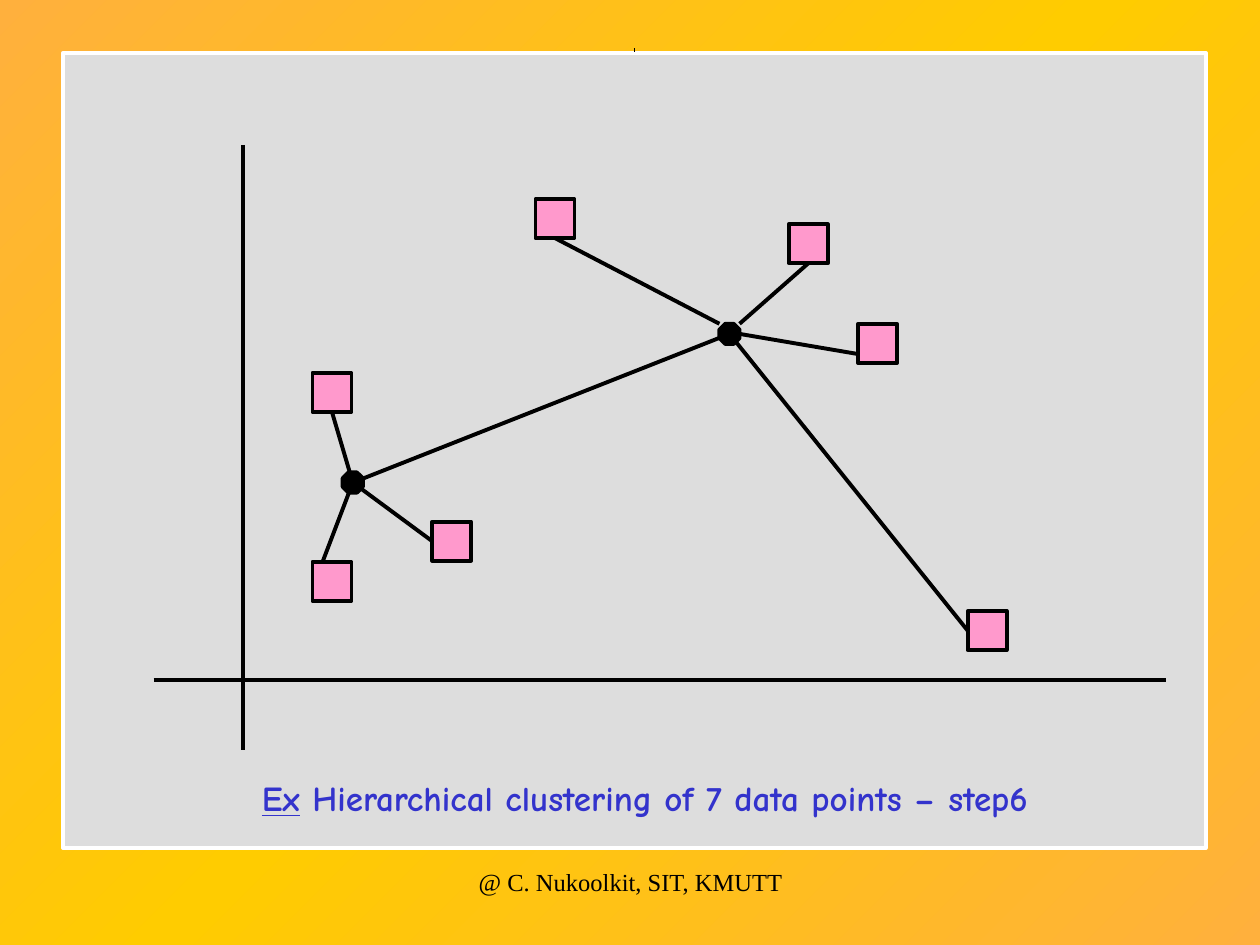
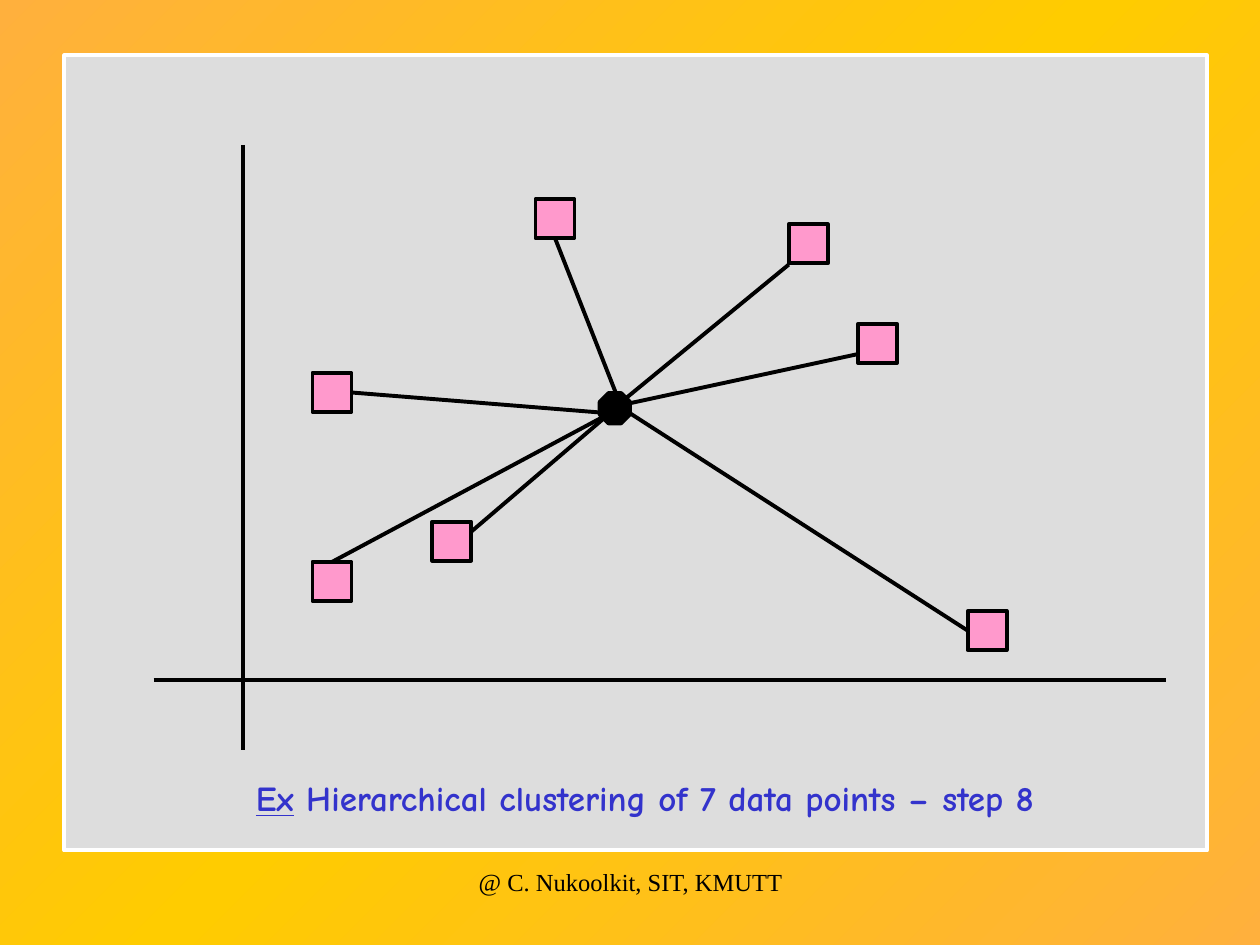
from copy import deepcopy

from lxml import etree
from pptx import Presentation
from pptx.dml.color import RGBColor
from pptx.enum.shapes import MSO_CONNECTOR, MSO_SHAPE
from pptx.enum.text import MSO_ANCHOR, MSO_AUTO_SIZE, PP_ALIGN
from pptx.oxml.ns import qn
from pptx.util import Inches, Pt

STRAIGHT = MSO_CONNECTOR.STRAIGHT
RECTANGLE = MSO_SHAPE.RECTANGLE
OCTAGON = MSO_SHAPE.OCTAGON
TOP_ANCHOR = MSO_ANCHOR.TOP
FIT_SHAPE = MSO_AUTO_SIZE.SHAPE_TO_FIT_TEXT
NO_FIT = MSO_AUTO_SIZE.NONE
CENTER = PP_ALIGN.CENTER

ORANGE = RGBColor(0xFF, 0xB0, 0x3D)
YELLOW = RGBColor(0xFF, 0xCC, 0x00)
GRAY = RGBColor(0xDD, 0xDD, 0xDD)
WHITE = RGBColor(0xFF, 0xFF, 0xFF)
BLACK = RGBColor(0x00, 0x00, 0x00)
PINK = RGBColor(0xFF, 0x99, 0xCC)
BLUE = RGBColor(0x33, 0x33, 0xCC)

CAPTION_FONT = "Comic Neue"
FOOTER_FONT = "Times New Roman"
LINE_WIDTH = Pt(2.25)
TITLE_ONLY = 5
TOP, LEFT, BOTTOM, RIGHT = range(4)

POINT_SIZE = 0.31
DATA_POINTS = {
    "low left": (2.48, 4.46),
    "low inner": (3.43, 4.14),
    "mid left": (2.48, 2.96),
    "top center": (4.25, 1.58),
    "top right": (6.26, 1.78),
    "mid right": (6.81, 2.57),
    "far right": (7.68, 4.85),
}
AXES = [((1.93, 1.15), (1.93, 5.95)), ((1.22, 5.4), (9.25, 5.4))]

LEFT_HUB = (2.8, 3.83)
RIGHT_HUB = (5.79, 2.65)
STEPS = [
    {
        "label": "step6",
        "panel": (0.5, 0.42),
        "tick": ((5.03, 0.4), (5.04, 0.4)),
        "hubs": [LEFT_HUB, RIGHT_HUB],
        "hub_size": 0.16,
        "joined": [
            ("mid left", BOTTOM, LEFT_HUB),
            ("low inner", LEFT, LEFT_HUB),
            ("top center", BOTTOM, (5.71, 2.57)),
            ("top right", BOTTOM, (5.87, 2.57)),
            ("far right", LEFT, RIGHT_HUB),
        ],
        "free": [
            (LEFT_HUB, (2.56, 4.46)),
            ((5.87, 2.65), (6.81, 2.81)),
            (RIGHT_HUB, LEFT_HUB),
        ],
    },
    {
        "label": "step 8",
        "panel": (0.51, 0.44),
        "tick": ((5.05, 0.43), (5.05, 0.43)),
        "hubs": [(4.88, 3.24)],
        "hub_size": 0.24,
        "joined": [
            ("far right", LEFT, (5, 3.28)),
            ("top center", BOTTOM, (4.92, 3.2)),
            ("mid left", RIGHT, (4.84, 3.28)),
            ("low left", TOP, (4.84, 3.28)),
        ],
        "free": [
            ((5, 3.2), (6.81, 2.81)),
            ((6.26, 2.1), (4.92, 3.2)),
            ((4.84, 3.28), (3.74, 4.22)),
        ],
    },
]


def add_run(paragraph, text, *, font, size, color, bold=False, underline=False):
    run = paragraph.add_run()
    run.text = text
    run.font.name = font
    run.font.size = Pt(size)
    run.font.color.rgb = color
    run.font.bold = bold
    run.font.underline = underline


class ClusterDeck:
    def __init__(self):
        self.presentation = Presentation()
        self.presentation.slide_width = Inches(10)
        self.presentation.slide_height = Inches(7.5)
        self.slide = None
        self.set_background()

    def set_background(self):
        master = self.presentation.slide_master
        fill = master.background.fill
        fill.gradient()
        fill.gradient_angle = 135
        for stop, color, position in zip(fill.gradient_stops, (ORANGE, YELLOW), (0, 0.5)):
            stop.color.rgb = color
            stop.position = position
        stops = master.element.find(".//" + qn("a:gsLst"))
        last = deepcopy(stops[0])
        last.set("pos", "100000")
        stops.append(last)

    def start_slide(self):
        layout = self.presentation.slide_layouts[TITLE_ONLY]
        self.slide = self.presentation.slides.add_slide(layout)

    def shape(self, kind, left, top, width, height, fill, line=BLACK):
        shape = self.slide.shapes.add_shape(
            kind, Inches(left), Inches(top), Inches(width), Inches(height)
        )
        shape.shadow.inherit = False
        shape.fill.solid()
        shape.fill.fore_color.rgb = fill
        shape.line.color.rgb = line
        shape.line.width = LINE_WIDTH
        return shape

    def line(self, start, end):
        ends = [Inches(value) for value in (*start, *end)]
        connector = self.slide.shapes.add_connector(STRAIGHT, *ends)
        connector.line.color.rgb = BLACK
        connector.line.width = LINE_WIDTH
        etree.SubElement(connector.element.spPr, qn("a:effectLst"))
        return connector

    def hub(self, center, size):
        x, y = center
        self.shape(OCTAGON, x - size / 2, y - size / 2, size, size, BLACK)

    def caption(self, label):
        title = self.slide.shapes.title
        title.left, title.top = Inches(0.83), Inches(6.11)
        title.width, title.height = Inches(8.58), Inches(0.44)
        self.slide.shapes.element.append(title.element)
        paragraph = self.prepare(title.text_frame, FIT_SHAPE)
        style = {"font": CAPTION_FONT, "size": 20, "color": BLUE, "bold": True}
        add_run(paragraph, "Ex", underline=True, **style)
        add_run(paragraph, f" Hierarchical clustering of 7 data points – {label}", **style)

    def footer(self):
        credit = self.slide.shapes.add_textbox(
            Inches(3.42), Inches(6.83), Inches(3.17), Inches(0.5)
        )
        paragraph = self.prepare(credit.text_frame, NO_FIT)
        add_run(paragraph, "@ C. Nukoolkit, SIT, KMUTT",
                font=FOOTER_FONT, size=14, color=BLACK)

    def prepare(self, frame, fit):
        frame.word_wrap = True
        frame.auto_size = fit
        frame.vertical_anchor = TOP_ANCHOR
        paragraph = frame.paragraphs[0]
        paragraph.alignment = CENTER
        return paragraph

    def clustering_step(self, step):
        self.start_slide()
        self.shape(RECTANGLE, *step["panel"], 9.07, 6.31, GRAY, WHITE)
        for start, end in [*AXES, step["tick"]]:
            self.line(start, end)
        points = {
            name: self.shape(RECTANGLE, *corner, POINT_SIZE, POINT_SIZE, PINK)
            for name, corner in DATA_POINTS.items()
        }
        for center in step["hubs"]:
            self.hub(center, step["hub_size"])
        for name, side, end in step["joined"]:
            self.line(DATA_POINTS[name], end).begin_connect(points[name], side)
        for start, end in step["free"]:
            self.line(start, end)
        self.caption(step["label"])
        self.footer()


def main():
    deck = ClusterDeck()
    for step in STEPS:
        deck.clustering_step(step)
    deck.presentation.save("out.pptx")


if __name__ == "__main__":
    main()
